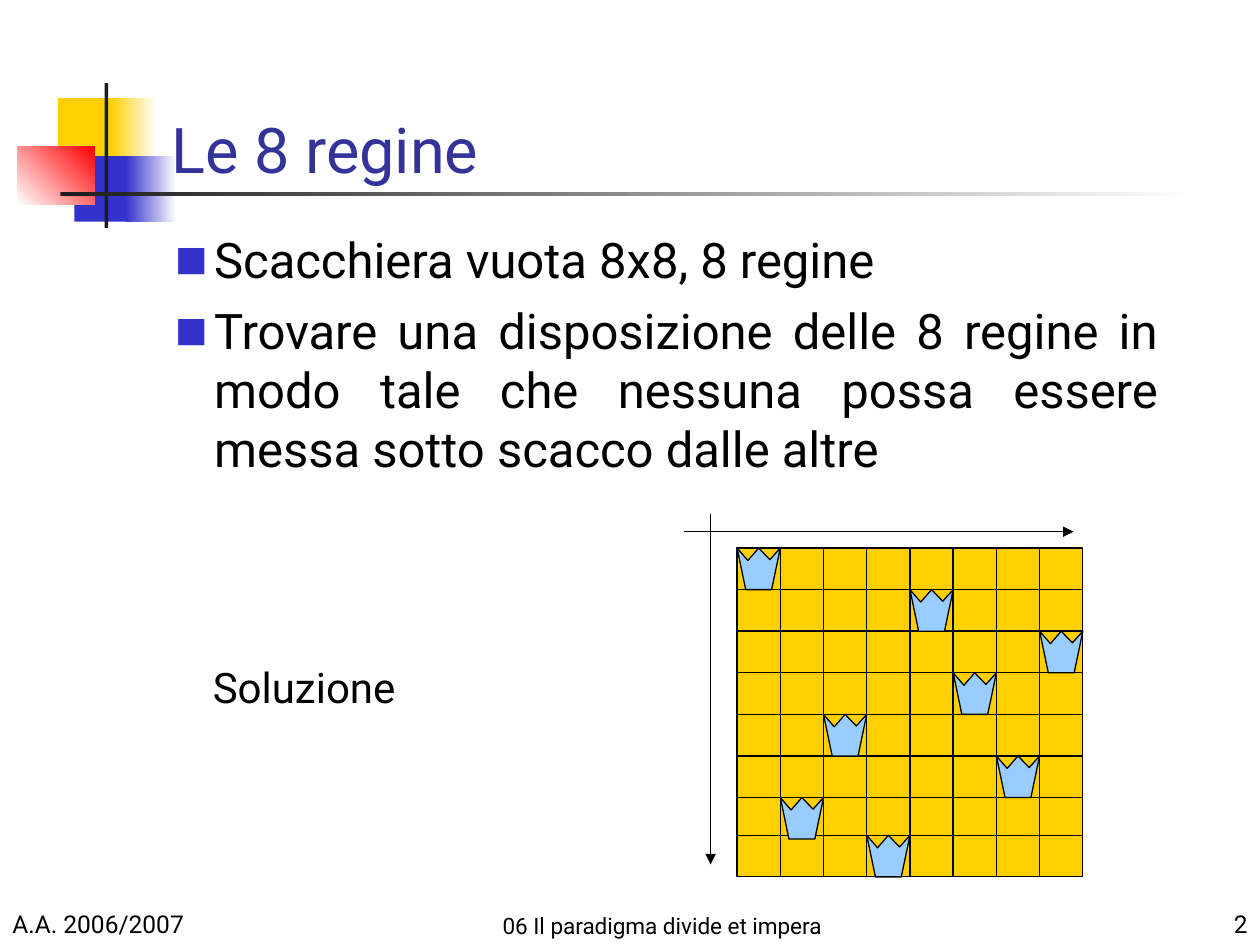
from lxml.etree import SubElement
from pptx import Presentation
from pptx.dml.color import RGBColor
from pptx.enum.shapes import MSO_CONNECTOR, MSO_SHAPE
from pptx.enum.text import MSO_ANCHOR, MSO_AUTO_SIZE, PP_ALIGN
from pptx.oxml.ns import qn
from pptx.util import Inches, Pt

WIDE, HIGH = Inches(10), Inches(7.5)
FONT = "Roboto"
BLACK, DARK, WHITE = "000000", "1C1C1C", "FFFFFF"
GOLD, BLUE, RED, SKY, NAVY = "FFCF01", "3333CC", "FF0000", "99CCFF", "333399"
SIZE = 8
LEFT, TOP, COL, ROW, LAST = 58.5, 58, 3.43, 4.4, 88.4
QUEENS = [0, 4, 7, 5, 2, 6, 1, 3]
CROWN = [(0, 0), (0.2, 1), (0.8, 1), (1, 0), (0.76, 0.28), (0.5, 0), (0.25, 0.3)]


def color(code):
    return RGBColor.from_string(code)


def across(share):
    return round(WIDE * share / 100)


def down(share):
    return round(HIGH * share / 100)


def area(x, y, w, h):
    return across(x), down(y), across(w), down(h)


def paint(shape, code, line=None):
    shape.shadow.inherit = False
    shape.fill.solid()
    shape.fill.fore_color.rgb = color(code)
    if line:
        shape.line.color.rgb = color(line)
        shape.line.width = Pt(0.75)
    else:
        shape.line.fill.background()


def block(slide, place, code, line=None):
    shape = slide.shapes.add_shape(MSO_SHAPE.RECTANGLE, *area(*place))
    paint(shape, code, line)
    return shape


def fade(slide, place, start, end, angle=0):
    fill = block(slide, place, start).fill
    fill.gradient()
    fill.gradient_angle = angle
    for stop, code in zip(fill.gradient_stops, (start, end)):
        stop.color.rgb = color(code)


def style(para, size, code=BLACK, align=PP_ALIGN.LEFT):
    para.alignment = align
    para.font.name = FONT
    para.font.size = Pt(size)
    para.font.color.rgb = color(code)


def label(slide, place, text, size, align=PP_ALIGN.LEFT, anchor=MSO_ANCHOR.BOTTOM):
    frame = slide.shapes.add_textbox(*area(*place)).text_frame
    frame.word_wrap = True
    frame.vertical_anchor = anchor
    frame.text = text
    style(frame.paragraphs[0], size, align=align)


def move(shape, place):
    shape.left, shape.top, shape.width, shape.height = area(*place)
    shape.text_frame.auto_size = MSO_AUTO_SIZE.NONE
    return shape.text_frame


def head(slide, text):
    frame = move(slide.shapes.title, (12.6, 3.33, 82.3, 16.67))
    frame.vertical_anchor = MSO_ANCHOR.BOTTOM
    frame.margin_bottom = Inches(0.02)
    frame.text = text
    style(frame.paragraphs[0], 36, NAVY)


def bullet(para):
    props = para._p.get_or_add_pPr()
    props.set("marL", str(Inches(0.52)))
    props.set("indent", str(-Inches(0.31)))
    tint = SubElement(props, qn("a:buClr"))
    SubElement(tint, qn("a:srgbClr"), val=BLUE)
    SubElement(props, qn("a:buSzPct"), val="70000")
    SubElement(props, qn("a:buFont"), typeface=FONT)
    SubElement(props, qn("a:buChar"), char="■")


def points(slide, lines):
    frame = move(slide.placeholders[1], (10.8, 22.27, 82.1, 66.13))
    frame.vertical_anchor = MSO_ANCHOR.TOP
    frame.margin_top = Inches(0.15)
    frame.text = "\n".join(lines)
    for i, para in enumerate(frame.paragraphs):
        style(para, 28, align=PP_ALIGN.JUSTIFY)
        para.space_before = Pt(7 if i else 0)
        bullet(para)


def arrow(slide, x, y, right, low):
    line = slide.shapes.add_connector(
        MSO_CONNECTOR.STRAIGHT, across(x), down(y), across(right), down(low))
    line.line.color.rgb = color(BLACK)
    line.line.width = Pt(0.75)
    SubElement(line.line._get_or_add_ln(), qn("a:tailEnd"), type="triangle")
    SubElement(line._element.spPr, qn("a:effectLst"))


def cell(row, col):
    return LEFT + col * COL, min(TOP + row * ROW, LAST), COL, ROW


def queen(slide, row, col):
    x, y, w, h = cell(row, col)
    dots = [(across(x + a * w), down(y + b * h)) for a, b in CROWN]
    path = slide.shapes.build_freeform(*dots[0])
    path.add_line_segments(dots[1:], close=True)
    paint(path.convert_to_shape(), SKY, BLACK)


def board(slide):
    for row in range(SIZE):
        for col in range(SIZE):
            block(slide, cell(row, col), GOLD, BLACK)
    for row, col in enumerate(QUEENS):
        queen(slide, row, col)
    arrow(slide, 56.4, 54.4, 56.4, 91.47)
    arrow(slide, 54.3, 56.27, 85.2, 56.27)


def decor(slide):
    block(slide, (4.6, 10.4, 4.8, 6.93), GOLD)
    fade(slide, (8.8, 10.4, 3.6, 6.93), GOLD, WHITE)
    block(slide, (5.9, 16.53, 4.6, 6.93), BLUE)
    fade(slide, (10, 16.53, 4, 6.93), BLUE, WHITE)
    fade(slide, (1.4, 15.47, 6.1, 6.13), WHITE, RED, 45)
    block(slide, (8.3, 8.8, 0.3, 15.33), DARK)
    fade(slide, (4.8, 20.27, 90, 0.53), DARK, WHITE)


def foot(slide):
    for x, w, text, size, align in (
            (0, 20.8, "A.A. 2006/2007", 14, PP_ALIGN.LEFT),
            (36.7, 31.7, "06 Il paradigma divide et impera", 12.9, PP_ALIGN.CENTER),
            (79.2, 20.8, "2", 14, PP_ALIGN.RIGHT)):
        label(slide, (x, 93.33, w, 6.67), text, size, align)


def main():
    deck = Presentation()
    deck.slide_width, deck.slide_height = WIDE, HIGH
    slide = deck.slides.add_slide(deck.slide_layouts[1])
    decor(slide)
    tree = slide.shapes._spTree
    for holder in list(slide.placeholders):
        tree.append(holder._element)
    head(slide, "Le 8 regine")
    points(slide, [
        "Scacchiera vuota 8x8, 8 regine",
        "Trovare una disposizione delle 8 regine in modo tale che nessuna "
        "possa essere messa sotto scacco dalle altre"])
    board(slide)
    label(slide, (15.9, 69.33, 17.1, 6.67), "Soluzione", 24, anchor=MSO_ANCHOR.TOP)
    foot(slide)
    deck.save("out.pptx")


if __name__ == "__main__":
    main()
